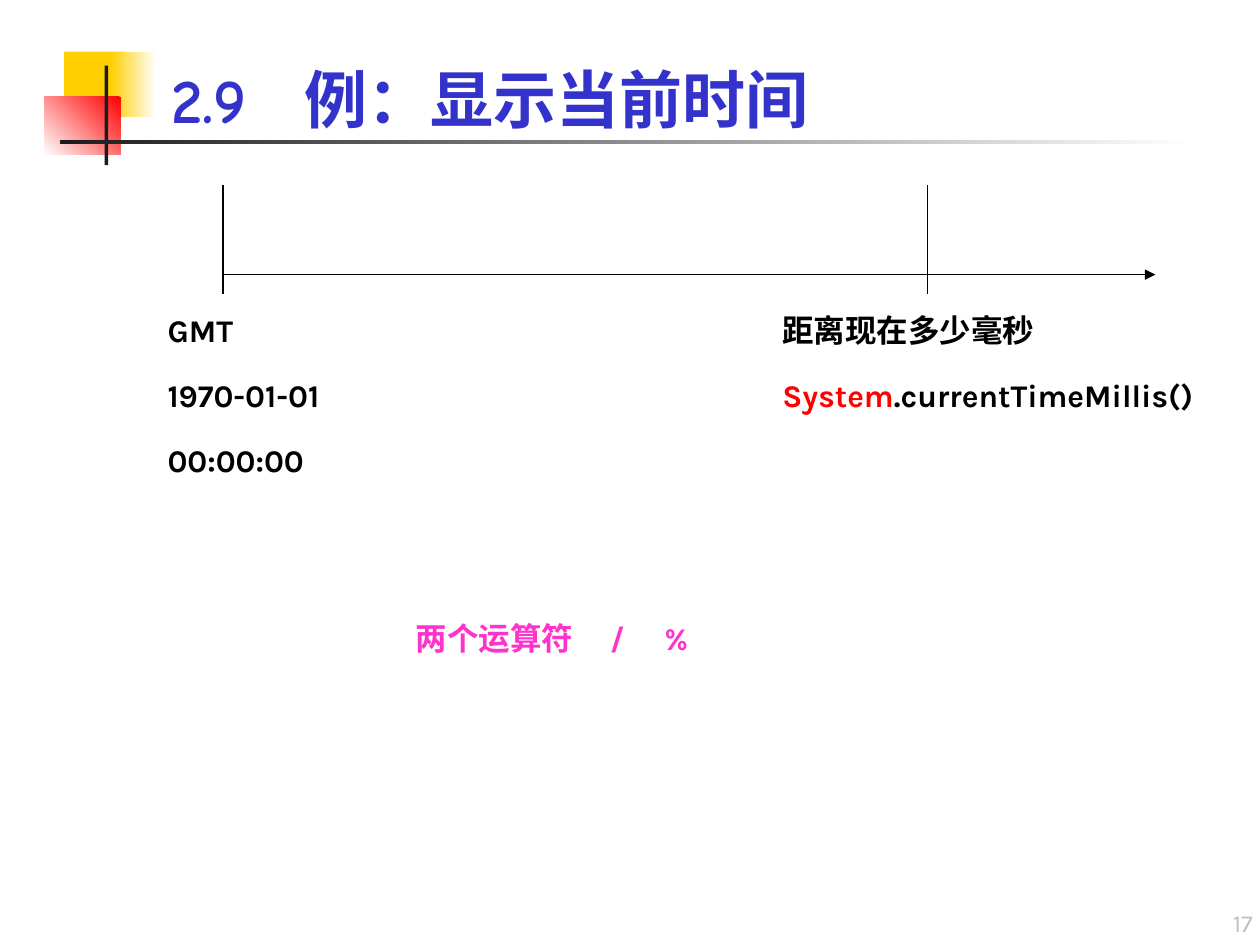
from dataclasses import dataclass

from lxml.etree import SubElement
from pptx import Presentation
from pptx.dml.color import RGBColor
from pptx.enum.shapes import MSO_CONNECTOR, MSO_SHAPE
from pptx.enum.text import MSO_ANCHOR, PP_ALIGN
from pptx.oxml.ns import qn
from pptx.shapes.connector import Connector
from pptx.slide import Slide
from pptx.util import Emu, Inches, Pt

TITLE_FONT, BODY_FONT = "Comic Neue", "Karla"
BLACK, WHITE, DARK = "000000", "FFFFFF", "1C1C1C"
YELLOW, RED, BLUE, PINK, GREY = "FFCF01", "FF0000", "3333CC", "FF33CC", "C0C0C0"


@dataclass(frozen=True)
class Bar:
    """A decorative block; two colours make a gradient."""
    left: float
    top: float
    width: float
    height: float
    colors: tuple[str, ...]
    angle: float = 180


@dataclass(frozen=True)
class Span:
    text: str
    color: str = BLACK


@dataclass(frozen=True)
class TextBlock:
    left: float
    top: float
    width: float
    height: float
    paragraphs: tuple[tuple[Span, ...], ...]
    size: float = 18
    font: str = BODY_FONT
    bold: bool = True
    margins: tuple[float, float, float, float] = (0.5, 0.08, 0, 0.08)
    anchor: MSO_ANCHOR = MSO_ANCHOR.TOP
    align: PP_ALIGN = PP_ALIGN.LEFT
    line_spacing: float = 1.2
    tab_stops: tuple[float, ...] = ()


BARS = (
    Bar(0.51, 0.41, 0.48, 0.52, (YELLOW,)),
    Bar(0.88, 0.41, 0.36, 0.52, (WHITE, YELLOW)),
    Bar(0.35, 0.77, 0.61, 0.46, (RED, WHITE), angle=225),
    Bar(0.83, 0.52, 0.03, 0.79, (DARK,)),
    Bar(0.48, 1.11, 9, 0.03, (WHITE, DARK)),
)

FRAME_MARGINS = (0.1, 0.05, 0.1, 0.05)
TEXTS = (
    TextBlock(1.26, 0.08, 8.52, 1.05, ((Span("2.9\t例：显示当前时间", BLUE),),),
              size=36, font=TITLE_FONT, margins=FRAME_MARGINS,
              anchor=MSO_ANCHOR.BOTTOM, line_spacing=1, tab_stops=(1.06,)),
    TextBlock(0.83, 2.33, 2.13, 1.55,
              ((Span("GMT"),), (Span("1970-01-01"),), (Span("00:00:00"),))),
    TextBlock(5.71, 2.33, 3.9, 1.03,
              ((Span("距离现在多少毫秒"),),
               (Span("System", RED), Span(".currentTimeMillis()")))),
    TextBlock(2.8, 4.77, 5.51, 0.52, ((Span("两个运算符\t/\t%", PINK),),),
              tab_stops=(1.54, 1.97)),
    TextBlock(7.96, 7.06, 2.08, 0.43, ((Span("17", GREY),),),
              size=14, bold=False, margins=FRAME_MARGINS,
              anchor=MSO_ANCHOR.BOTTOM, align=PP_ALIGN.RIGHT, line_spacing=1),
)

AXIS_Y, AXIS_END = 2.18, 9.17
EPOCH_X, NOW_X = 1.77, 7.36
TICK_TOP, TICK_BOTTOM = 1.47, 2.33


def rgb(color: str) -> RGBColor:
    return RGBColor.from_string(color)


def draw_bar(slide: Slide, bar: Bar) -> None:
    shape = slide.shapes.add_shape(
        MSO_SHAPE.RECTANGLE, Inches(bar.left), Inches(bar.top),
        Inches(bar.width), Inches(bar.height))
    shape.shadow.inherit = False
    shape.line.fill.background()
    if len(bar.colors) == 1:
        shape.fill.solid()
        shape.fill.fore_color.rgb = rgb(bar.colors[0])
        return
    shape.fill.gradient()
    shape.fill.gradient_angle = bar.angle
    for stop, color in zip(shape.fill.gradient_stops, bar.colors):
        stop.color.rgb = rgb(color)


def draw_line(slide: Slide, x1: float, y1: float, x2: float, y2: float) -> Connector:
    line = slide.shapes.add_connector(
        MSO_CONNECTOR.STRAIGHT, Inches(x1), Inches(y1), Inches(x2), Inches(y2))
    line.line.color.rgb = rgb(BLACK)
    line.line.width = Pt(0.75)
    SubElement(line._element.spPr, qn("a:effectLst"))
    return line


def draw_timeline(slide: Slide) -> None:
    axis = draw_line(slide, EPOCH_X, AXIS_Y, AXIS_END, AXIS_Y)
    SubElement(axis.line._get_or_add_ln(), qn("a:tailEnd"), type="triangle")
    for x in (EPOCH_X, NOW_X):
        draw_line(slide, x, TICK_TOP, x, TICK_BOTTOM)


def draw_text(slide: Slide, block: TextBlock) -> None:
    frame = slide.shapes.add_textbox(
        Inches(block.left), Inches(block.top),
        Inches(block.width), Inches(block.height)).text_frame
    frame.word_wrap = True
    frame.vertical_anchor = block.anchor
    (frame.margin_left, frame.margin_top,
     frame.margin_right, frame.margin_bottom) = map(Inches, block.margins)
    for index, spans in enumerate(block.paragraphs):
        paragraph = frame.add_paragraph() if index else frame.paragraphs[0]
        paragraph.alignment = block.align
        paragraph.line_spacing = block.line_spacing
        paragraph.space_before = Pt(11.2 if index else 0)
        if block.tab_stops:
            tabs = SubElement(paragraph._p.get_or_add_pPr(), qn("a:tabLst"))
            for stop in block.tab_stops:
                SubElement(tabs, qn("a:tab"), pos=str(Emu(Inches(stop))), algn="l")
        for span in spans:
            run = paragraph.add_run()
            run.text = span.text
            run.font.name = block.font
            run.font.size = Pt(block.size)
            run.font.bold = block.bold
            run.font.color.rgb = rgb(span.color)


def main() -> None:
    deck = Presentation()
    deck.slide_width, deck.slide_height = Inches(10), Inches(7.5)
    slide = deck.slides.add_slide(deck.slide_layouts[6])
    for bar in BARS:
        draw_bar(slide, bar)
    draw_timeline(slide)
    for block in TEXTS:
        draw_text(slide, block)
    deck.save("out.pptx")


if __name__ == "__main__":
    main()
